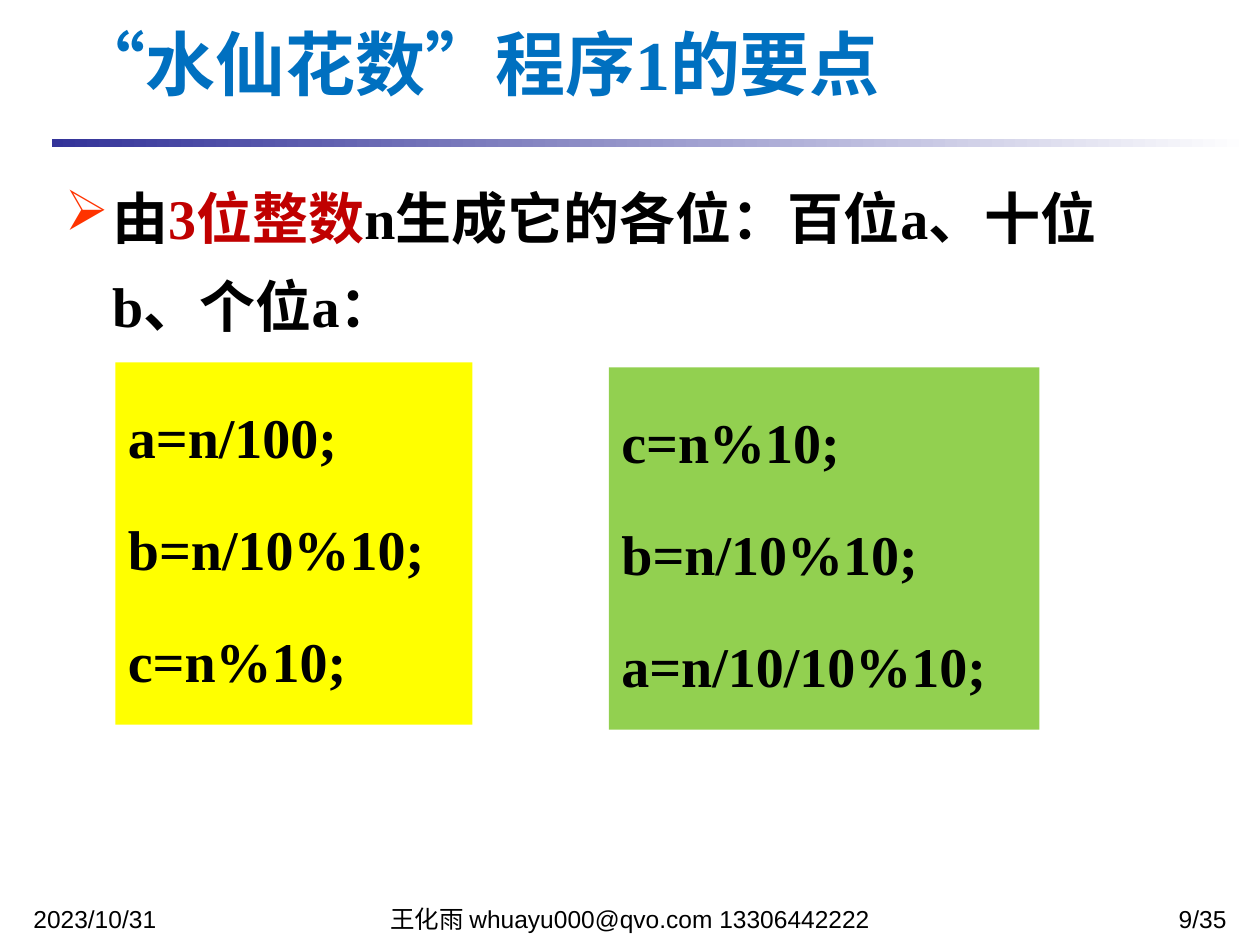
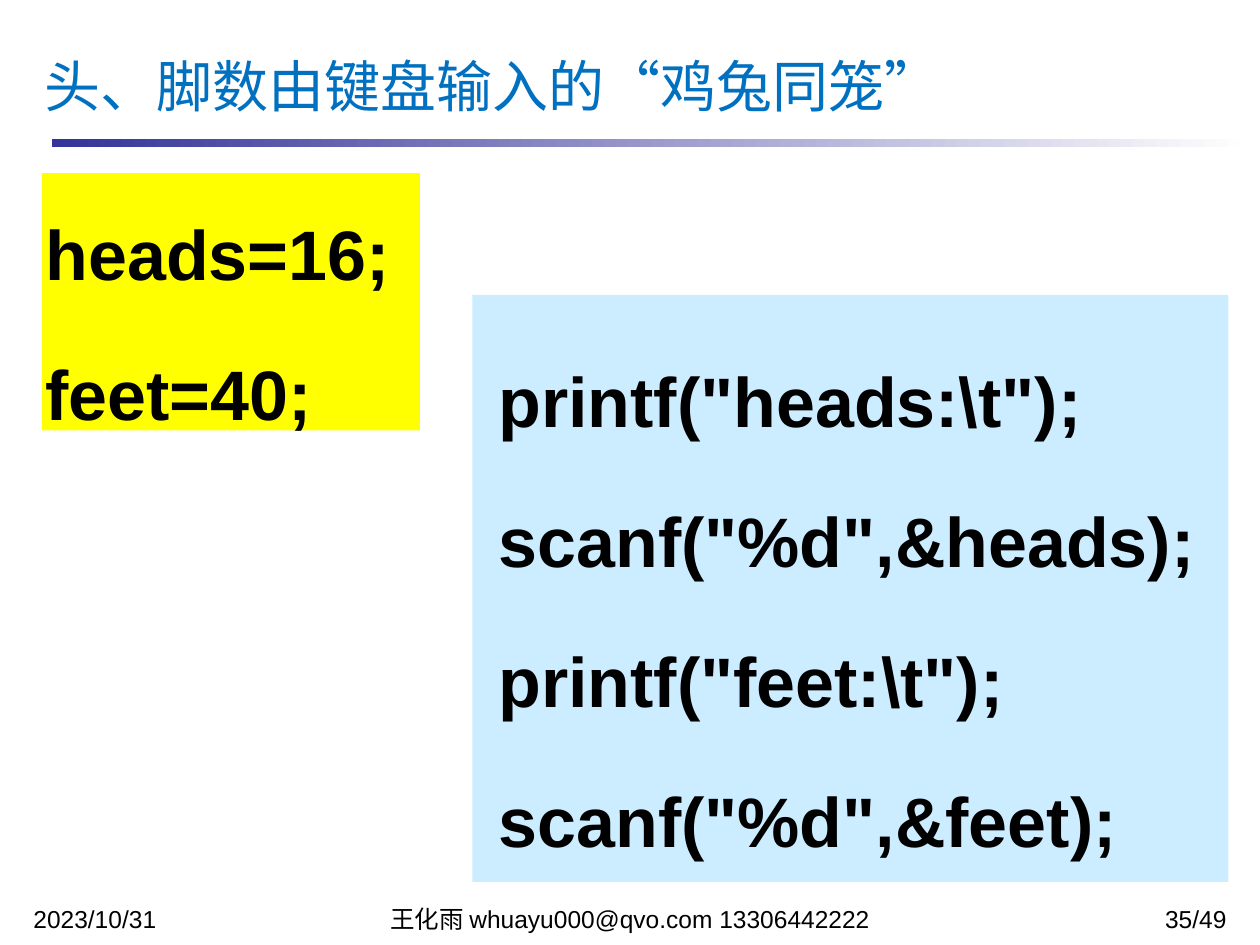
from lxml import etree
from pptx import Presentation
from pptx.dml.color import RGBColor
from pptx.enum import lang, shapes, text
from pptx.oxml import ns
from pptx.util import Pt

BLACK = RGBColor(0x00, 0x00, 0x00)
WHITE = RGBColor(0xFF, 0xFF, 0xFF)
TITLE_BLUE = RGBColor(0x00, 0x70, 0xC0)
RULE_BLUE = RGBColor(0x33, 0x33, 0x99)
RED = RGBColor(0xC0, 0x00, 0x00)
YELLOW = RGBColor(0xFF, 0xFF, 0x00)
GREEN = RGBColor(0x92, 0xD0, 0x50)
PALE_BLUE = RGBColor(0xCC, 0xEC, 0xFF)
BULLET_COLOR = "FF3300"

SERIF = "Times New Roman"
SANS = "Arial"
DATE = "2023/10/31"
AUTHOR = "王化雨 whuayu000@qvo.com 13306442222"
FOOTER_TOP, FOOTER_HEIGHT = 516, 13


def place(sp, box):
    sp.left, sp.top, sp.width, sp.height = (Pt(v) for v in box)


def style_run(r, size, name, color=BLACK, bold=False):
    r.font.size = Pt(size)
    r.font.name = name
    r.font.bold = bold
    r.font.color.rgb = color
    r.font.language_id = lang.MSO_LANGUAGE_ID.SIMPLIFIED_CHINESE


def add_text_box(s, box):
    tf = s.shapes.add_textbox(*(Pt(v) for v in box)).text_frame
    tf.word_wrap = True
    return tf


def add_rect(s, box):
    sp = s.shapes.add_shape(shapes.MSO_SHAPE.RECTANGLE, *(Pt(v) for v in box))
    sp.shadow.inherit = False
    sp.line.fill.background()
    return sp


def add_rule(s):
    """Band under the title, fading from blue to white."""
    fill = add_rect(s, (29.5, 79.7, 685, 4.5)).fill
    fill.gradient()
    fill.gradient_angle = 0
    for stop, color, position in zip(fill.gradient_stops, (RULE_BLUE, WHITE), (0, 1)):
        stop.color.rgb = color
        stop.position = position


def add_footer(s, page):
    align = text.PP_ALIGN
    parts = ((12, 168, DATE, align.LEFT),
             (186, 348, AUTHOR, align.CENTER),
             (570, 138, page, align.RIGHT))
    for left, width, words, alignment in parts:
        tf = add_text_box(s, (left, FOOTER_TOP, width, FOOTER_HEIGHT))
        tf.text = words
        p = tf.paragraphs[0]
        p.alignment = alignment
        p.line_spacing = 0.8
        style_run(p.runs[0], 14, SANS)


def set_title(s, box, words, size, bold=False, spacing=1.0):
    sp = s.shapes.title
    place(sp, box)
    tf = sp.text_frame
    tf.text = words
    tf.auto_size = text.MSO_AUTO_SIZE.NONE
    tf.vertical_anchor = text.MSO_ANCHOR.MIDDLE
    p = tf.paragraphs[0]
    p.alignment = text.PP_ALIGN.LEFT
    p.line_spacing = spacing
    style_run(p.runs[0], size, SERIF, TITLE_BLUE, bold)
    return sp


def add_bullet(p, indent):
    pPr = p._p.get_or_add_pPr()
    pPr.set("marL", str(Pt(indent)))
    pPr.set("indent", str(-Pt(indent)))
    color = etree.SubElement(pPr, ns.qn("a:buClr"))
    etree.SubElement(color, ns.qn("a:srgbClr"), val=BULLET_COLOR)
    etree.SubElement(pPr, ns.qn("a:buChar"), char="➢")


def add_bullet_text(s, box, pieces):
    """One bulleted paragraph made of (text, colour) pieces."""
    p = add_text_box(s, box).paragraphs[0]
    add_bullet(p, 27)
    p.line_spacing = 1.3
    for words, color in pieces:
        r = p.add_run()
        r.text = words
        style_run(r, 32, SERIF, color, bold=True)


def add_code_box(s, box, color, lines, size, name, anchor, inset=7.2):
    sp = add_rect(s, box)
    sp.fill.solid()
    sp.fill.fore_color.rgb = color
    tf = sp.text_frame
    tf.word_wrap = True
    tf.vertical_anchor = anchor
    tf.margin_left = Pt(inset)
    tf.margin_right = 0
    tf.text = "\n".join(lines)
    for i, p in enumerate(tf.paragraphs):
        p.alignment = text.PP_ALIGN.LEFT
        p.line_spacing = 1.5
        if i:
            p.space_before = Pt(size * 0.2)
        style_run(p.runs[0], size, name, bold=True)


def new_slide(prs, page):
    s = prs.slides.add_slide(prs.slide_layouts[5])
    add_rule(s)
    add_footer(s, page)
    return s


def build_digits_slide(prs):
    s = new_slide(prs, "9/35")
    set_title(s, (36, 12, 672, 48), "“水仙花数”程序1的要点", 40, bold=True)
    add_bullet_text(s, (30, 90, 652.5, 414), (
        ("由", BLACK), ("3位整数", RED),
        ("n生成它的各位：百位a、十位b、个位a：", BLACK)))
    style = (32, SERIF, text.MSO_ANCHOR.TOP)
    add_code_box(s, (66, 207, 204, 207), YELLOW,
                 ("a=n/100;", "b=n/10%10;", "c=n%10;"), *style)
    add_code_box(s, (348, 210, 246, 207), GREEN,
                 ("c=n%10;", "b=n/10%10;", "a=n/10/10%10;"), *style)


def build_input_slide(prs):
    s = new_slide(prs, "35/49")
    title = set_title(s, (18, 6, 690, 66), "头、脚数由键盘输入的“鸡兔同笼”", 32, spacing=1.5)
    title.fill.solid()
    title.fill.fore_color.rgb = WHITE
    style = (40, SANS, text.MSO_ANCHOR.MIDDLE)
    add_code_box(s, (24, 99, 216, 147), YELLOW,
                 ("heads=16;", "feet=40;"), *style, inset=2)
    add_code_box(s, (270, 168.5, 432, 335.5), PALE_BLUE,
                 ('printf("heads:\\t");', 'scanf("%d",&heads);',
                  'printf("feet:\\t");', 'scanf("%d",&feet);'), *style, inset=15)


def main():
    prs = Presentation()
    prs.slide_width, prs.slide_height = Pt(720), Pt(540)
    build_digits_slide(prs)
    build_input_slide(prs)
    prs.save("out.pptx")


if __name__ == "__main__":
    main()
